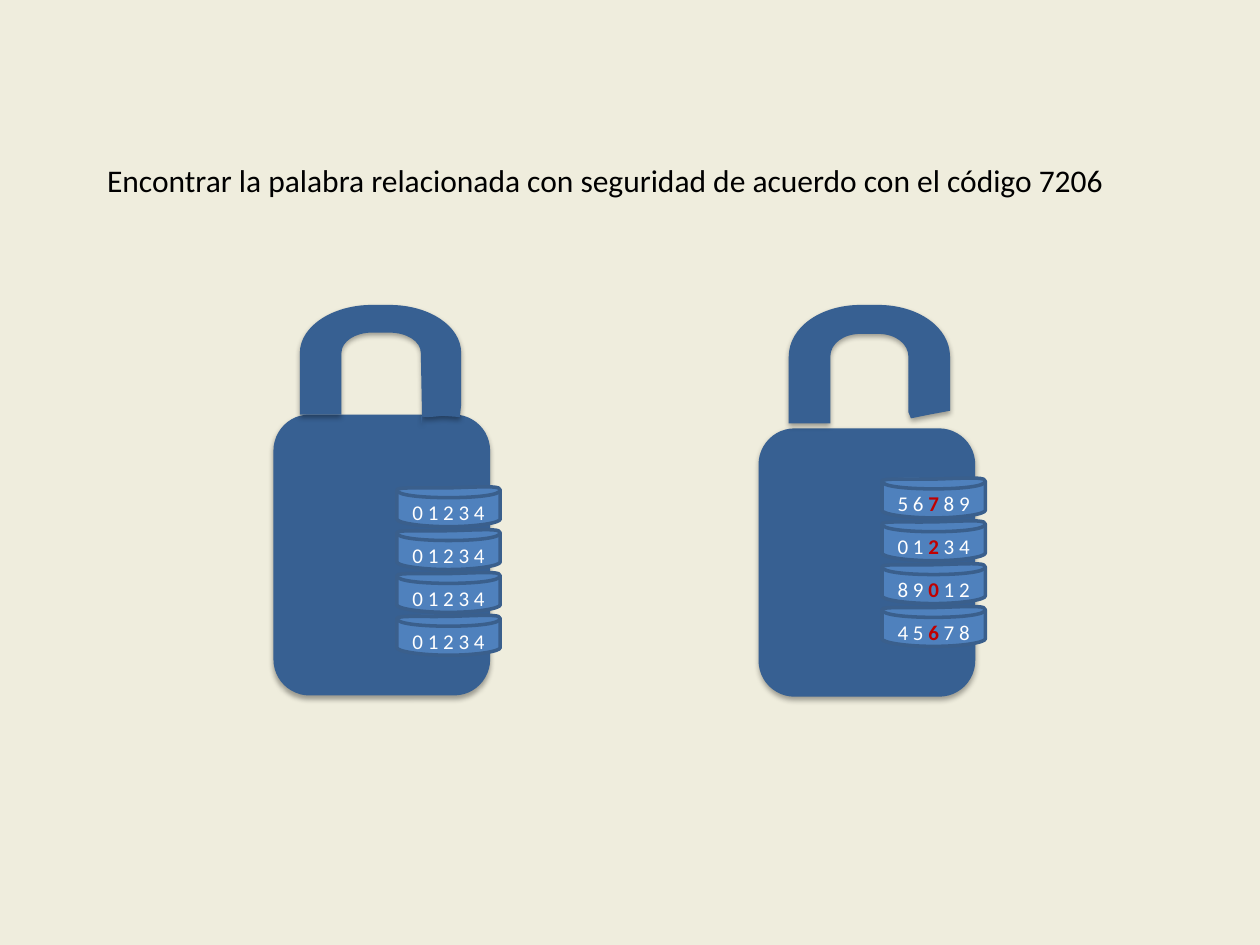
from lxml import etree
from pptx import Presentation
from pptx.dml.color import RGBColor
from pptx.enum.shapes import MSO_SHAPE
from pptx.enum.text import MSO_ANCHOR, MSO_AUTO_SIZE, PP_ALIGN
from pptx.oxml import parse_xml
from pptx.oxml.ns import nsdecls, qn
from pptx.util import Inches, Pt

ROUNDED = MSO_SHAPE.ROUNDED_RECTANGLE
TOP, MIDDLE = MSO_ANCHOR.TOP, MSO_ANCHOR.MIDDLE
LEFT, CENTER = PP_ALIGN.LEFT, PP_ALIGN.CENTER
FIT_SHAPE = MSO_AUTO_SIZE.SHAPE_TO_FIT_TEXT

FONT = "Calibri"
COLORS = {
    "background": "EFEDDD",
    "text": "000000",
    "lock": "376092",
    "dial": "4F81BD",
    "dial_edge": "3A5F8C",
    "digit": "FFFFFF",
    "code": "C00000",
}
TITLE = "Encontrar la palabra relacionada con seguridad de acuerdo con el código 7206"

# Outlines are in hundredths of an inch: M moves, L draws a line, C a curve, Z closes.
DIAL_SIDE = "L 82 26 C 82 29 63 32 41 32 C 19 32 0 29 0 26 Z"
DIAL_PATHS = [
    ("M 0 3 C 0 0 23 0 28 0 C 33 0 24 2 29 2 C 33 2 46 0 55 1 C 64 1 75 0 82 3 "
     + DIAL_SIDE, {"stroke": "0"}),
    ("M 82 3 C 82 7 63 9 41 9 C 19 9 0 7 0 3", {"fill": "none"}),
    ("M 0 3 C 0 0 22 2 49 1 C 76 0 82 0 82 3 " + DIAL_SIDE, {"fill": "none"}),
]
CLOSED_SHACKLE = (
    "M 0 87 L 0 38 C 0 17 26 0 57 0 L 71 0 C 103 0 128 17 128 38 "
    "L 128 79 L 127 89 L 113 88 C 105 89 95 90 96 87 C 97 103 97 86 97 89 "
    "L 96 38 C 96 29 85 22 71 22 L 57 22 C 44 22 33 29 33 38 L 33 87 Z"
)
OPEN_SHACKLE = (
    "M 0 94 L 0 41 C 0 18 25 0 57 0 L 71 0 C 103 0 128 18 128 41 "
    "L 128 84 L 112 87 L 97 90 L 95 85 L 95 41 C 95 31 85 23 71 23 "
    "L 57 23 C 43 23 33 31 33 41 L 33 94 Z"
)
DIAL_PITCH = 0.34


def color(name):
    """Return a named colour."""
    return RGBColor.from_string(COLORS[name])


def paint(shape, fill, edge=None):
    """Fill a shape and outline it, or leave it without a line."""
    shape.shadow.inherit = False
    shape.fill.solid()
    shape.fill.fore_color.rgb = color(fill)
    if edge:
        shape.line.color.rgb = color(edge)
        shape.line.width = Pt(2)
    else:
        shape.line.fill.background()


def add_shadow(shape):
    """Put a soft shadow below a shape."""
    effects = shape._element.spPr.find(qn("a:effectLst"))
    effects.append(parse_xml(
        f'<a:outerShdw {nsdecls("a")} blurRad="40000" dist="23000" dir="5400000" '
        'rotWithShape="0"><a:srgbClr val="000000"><a:alpha val="35000"/>'
        "</a:srgbClr></a:outerShdw>"))


def add_outline(shapes, left, top, width, height, paths):
    """Add a freeform with curved paths; sizes are hundredths of an inch."""
    builder = shapes.build_freeform(0, 0, scale=Inches(0.01))
    builder.add_line_segments([(width, 0), (width, height), (0, height)])
    shape = builder.convert_to_shape(Inches(left), Inches(top))
    path_list = shape._element.spPr.find(".//" + qn("a:pathLst"))
    path_list.clear()
    tags = {"M": "a:moveTo", "L": "a:lnTo", "C": "a:cubicBezTo", "Z": "a:close"}
    for outline, options in paths:
        node = etree.SubElement(path_list, qn("a:path"),
                                {"w": str(width), "h": str(height), **options})
        words = iter(outline.split())
        for word in words:
            step = etree.SubElement(node, qn(tags[word]))
            for _ in range({"Z": 0, "C": 3}.get(word, 1)):
                etree.SubElement(step, qn("a:pt"), {"x": next(words), "y": next(words)})
    return shape


def add_dial(shapes, left, top, digits, code_digit):
    """Add a number wheel, with the digit of the code in bold red."""
    dial = add_outline(shapes, left, top, 82, 32, DIAL_PATHS)
    paint(dial, "dial", "dial_edge")
    frame = dial.text_frame
    frame.vertical_anchor = MIDDLE
    frame.margin_left = frame.margin_right = Inches(0.1)
    frame.margin_top, frame.margin_bottom = Inches(0.1), Inches(0.01)
    para = frame.paragraphs[0]
    para.alignment = CENTER
    para.font.name, para.font.size = FONT, Pt(12)
    before, found, after = digits.partition(code_digit) if code_digit else (digits, "", "")
    for text in filter(None, (before, found, after)):
        span = para.add_run()
        span.text = text
        span.font.bold = text == code_digit
        span.font.color.rgb = color("code" if text == code_digit else "digit")


def add_padlock(slide, body, shackle_left, shackle, dial_at, dials):
    """Add a padlock as a group of body, dials and shackle."""
    shapes = slide.shapes.add_group_shape().shapes
    case = shapes.add_shape(ROUNDED, *map(Inches, body))
    paint(case, "lock")
    add_shadow(case)
    left, top = dial_at
    for row, (digits, code_digit) in enumerate(dials):
        add_dial(shapes, left, top + row * DIAL_PITCH, digits, code_digit)
    bow = add_outline(shapes, shackle_left, 2.42, 128, 95, [(shackle, {})])
    paint(bow, "lock")
    add_shadow(bow)


def set_title(slide):
    """Place and format the title."""
    title = slide.shapes.title
    title.left, title.top = Inches(0.75), Inches(1.23)
    title.width, title.height = Inches(8.21), Inches(0.4)
    frame = title.text_frame
    frame.text = TITLE
    frame.word_wrap = False
    frame.auto_size = FIT_SHAPE
    frame.vertical_anchor = TOP
    para = frame.paragraphs[0]
    para.alignment = LEFT
    para.font.name, para.font.size = FONT, Pt(18)
    para.font.color.rgb = color("text")


def main():
    """Build the slide and save it."""
    deck = Presentation()
    deck.slide_width, deck.slide_height = Inches(10), Inches(7.5)
    slide = deck.slides.add_slide(deck.slide_layouts[5])
    slide.background.fill.solid()
    slide.background.fill.fore_color.rgb = color("background")
    set_title(slide)
    add_padlock(slide, (6.02, 3.4, 1.72, 2.13), 6.26, OPEN_SHACKLE, (7, 3.79),
                [("5 6 7 8 9", "7"), ("0 1 2 3 4", "2"),
                 ("8 9 0 1 2", "0"), ("4 5 6 7 8", "6")])
    add_padlock(slide, (2.17, 3.29, 1.72, 2.23), 2.38, CLOSED_SHACKLE, (3.15, 3.86),
                [("0 1 2 3 4", None)] * 4)
    deck.save("out.pptx")


main()
